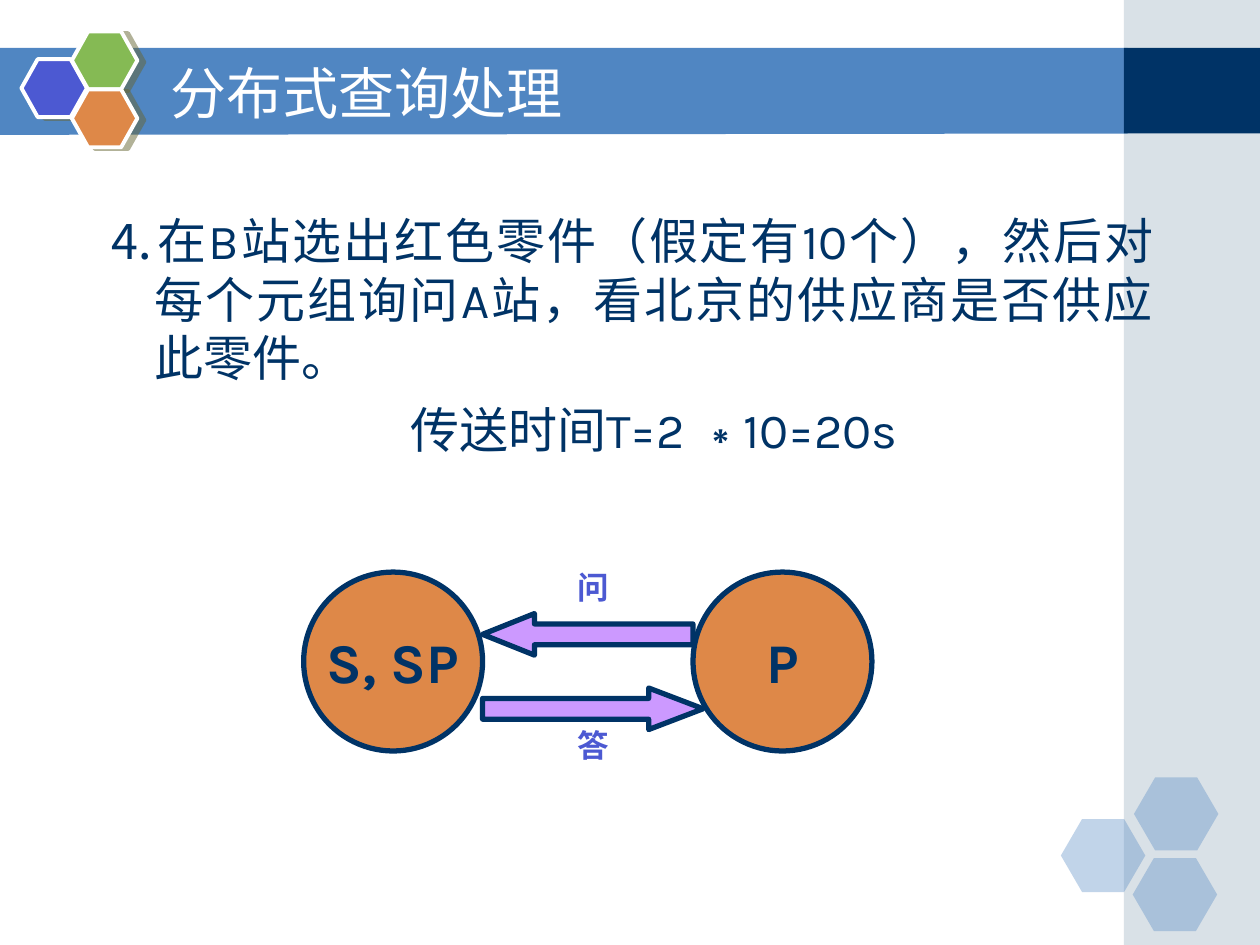
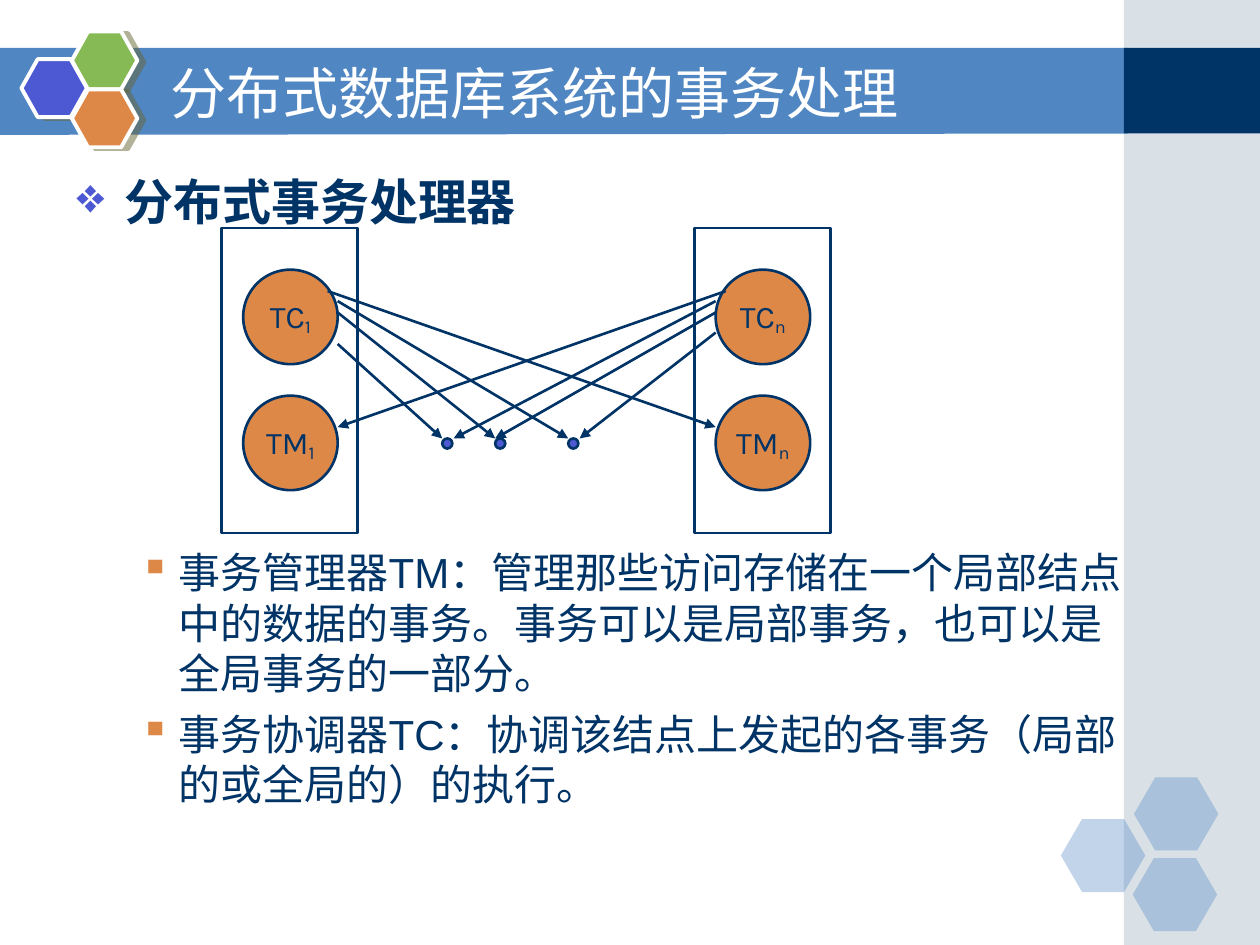
from lxml.etree import SubElement
from pptx import Presentation
from pptx.dml.color import RGBColor
from pptx.enum.shapes import MSO_CONNECTOR, MSO_SHAPE as SHAPE
from pptx.enum.text import MSO_ANCHOR as ANCHOR, MSO_AUTO_SIZE as AUTO, PP_ALIGN as ALIGN
from pptx.oxml.ns import qn
from pptx.util import Inches, Pt

COLORS = {
    "navy": "003366", "band": "5086C2", "side": "A0B5C4", "violet": "4C59D2",
    "green": "85BA54", "orange": "DE8848", "lilac": "CC99FF",
    "white": "FFFFFF", "shade": "666633",
}
TITLE_FONT, BODY_FONT, LABEL_FONT = "DejaVu Sans", "Arial", "Karla"


def rgb(name):
    return RGBColor.from_string(COLORS[name])


def add_text(tf, runs, size=18, font=LABEL_FONT, color="navy", bold=False,
             align=ALIGN.LEFT, before=0, left=0, hang=0, bullet=None):
    """Add a paragraph; runs are (text, options) pairs, with options font and baseline."""
    p = tf.paragraphs[0]
    if p.runs:
        p = tf.add_paragraph()
    p.alignment = align
    p.space_before = Pt(before)
    pPr = p._p.get_or_add_pPr()
    pPr.set("marL", str(Inches(left)))
    pPr.set("indent", str(-Inches(hang)))
    if bullet:
        char, tint = bullet
        SubElement(SubElement(pPr, qn("a:buClr")), qn("a:srgbClr"), val=COLORS[tint])
        SubElement(pPr, qn("a:buChar"), char=char)
    else:
        SubElement(pPr, qn("a:buNone"))
    for text, options in [(runs, {})] if isinstance(runs, str) else runs:
        r = p.add_run()
        r.text = text
        r.font.name = options.get("font", font)
        r.font.size = Pt(size)
        r.font.bold = bold
        r.font.color.rgb = rgb(color)
        if "baseline" in options:
            r._r.get_or_add_rPr().set("baseline", str(options["baseline"] * 1000))


def paint(sp, fill=None, alpha=None, line=None, width=1.5):
    sp.shadow.inherit = False
    if fill:
        sp.fill.solid()
        sp.fill.fore_color.rgb = rgb(fill)
        if alpha:
            clr = sp._element.spPr.find(qn("a:solidFill")).find(qn("a:srgbClr"))
            SubElement(clr, qn("a:alpha"), val=str(alpha * 1000))
    else:
        sp.fill.background()
    if line:
        sp.line.color.rgb = rgb(line)
        sp.line.width = Pt(width)
    else:
        sp.line.fill.background()


def add_shape(s, kind, x, y, w, h, adjust=(), **style):
    sp = s.shapes.add_shape(kind, Inches(x), Inches(y), Inches(w), Inches(h))
    for i, value in enumerate(adjust):
        sp.adjustments[i] = value
    paint(sp, **style)
    return sp


def add_box(s, x, y, w, h):
    tf = s.shapes.add_textbox(Inches(x), Inches(y), Inches(w), Inches(h)).text_frame
    tf.word_wrap = True
    return tf


def add_circle(s, x, y, d, runs, size, bold=False, width=1.5):
    sp = add_shape(s, SHAPE.OVAL, x, y, d, d, fill="orange", line="navy", width=width)
    tf = sp.text_frame
    tf.word_wrap = False
    tf.vertical_anchor = ANCHOR.MIDDLE
    add_text(tf, runs, size=size, bold=bold, align=ALIGN.CENTER)


def add_arrow(s, x1, y1, x2, y2):
    line = s.shapes.add_connector(MSO_CONNECTOR.STRAIGHT, Inches(x1), Inches(y1),
                                  Inches(x2), Inches(y2))
    line.line.color.rgb = rgb("navy")
    line.line.width = Pt(1.5)
    SubElement(line.line._get_or_add_ln(), qn("a:tailEnd"), type="triangle")
    SubElement(line._element.spPr, qn("a:effectLst"))


def add_shade(sp):
    """Give a shape a hard shadow to its right."""
    effects = sp._element.spPr.find(qn("a:effectLst"))
    shade = SubElement(effects, qn("a:outerShdw"), dist=str(Pt(4.1)),
                       dir=str(14 * 60000), algn="ctr", rotWithShape="0")
    clr = SubElement(shade, qn("a:srgbClr"), val=COLORS["shade"])
    SubElement(clr, qn("a:alpha"), val="50000")


def add_frame(s):
    """Draw the title band, side panel and hexagons that every slide has."""
    corners = [(Inches(x), Inches(y)) for x, y in
               [(-0.01, 0.38), (8.95, 0.38), (8.95, 1.06), (-0.01, 1.07)]]
    builder = s.shapes.build_freeform(*corners[0])
    builder.add_line_segments(corners[1:], close=True)
    paint(builder.convert_to_shape(), fill="band")
    add_shape(s, SHAPE.RECTANGLE, 8.92, 0, 1.08, 7.5, fill="side", alpha=40)
    add_shape(s, SHAPE.RECTANGLE, 8.92, 0.38, 1.08, 0.68, fill="navy")
    for x, y in [(8.42, 6.5), (9, 6.17), (8.99, 6.81)]:
        add_shape(s, SHAPE.HEXAGON, x, y, 0.67, 0.58, [0.29], fill="band", alpha=35)
    for x, y, fill in [(0.17, 0.47, "violet"), (0.57, 0.25, "green"), (0.57, 0.71, "orange")]:
        add_shade(add_shape(s, SHAPE.HEXAGON, x, y, 0.52, 0.46, [0.28],
                            fill=fill, line="white", width=2.25))


def add_slide(prs, title):
    s = prs.slides.add_slide(prs.slide_layouts[5])
    add_frame(s)
    sp = s.shapes.title
    s.shapes.element.append(sp.element)  # bring the title in front of the band
    sp.left, sp.top, sp.width, sp.height = map(Inches, (1.25, 0.42, 7.33, 0.62))
    tf = sp.text_frame
    tf.auto_size = AUTO.NONE
    tf.vertical_anchor = ANCHOR.MIDDLE
    add_text(tf, title, size=32, font=TITLE_FONT, color="white")
    return s


def add_query_diagram(s, x, y):
    """Two sites that ask and answer each other."""
    d = 1.42
    for dx, name in [(0, "S, SP"), (3.09, "P")]:
        add_circle(s, x + dx, y, d, name, 32, bold=True, width=3)
    for dy, w, turn, label, label_dy in [(0.33, 1.67, 0, "问", -0.08),
                                         (0.92, 1.75, 180, "答", 1.17)]:
        arrow = add_shape(s, SHAPE.LEFT_ARROW, x + d, y + dy, w, 0.33, [0.5, 1.25 * w / 1.67],
                          fill="lilac", line="navy", width=3)
        arrow.rotation = turn
        add_text(add_box(s, x + 1.84, y + label_dy, 0.92, 0.4), label,
                 color="violet", bold=True, align=ALIGN.CENTER)


def add_transaction_diagram(s, x, y):
    """Coordinators of two sites that reach the managers of all sites."""
    for dx, site in [(0, "1"), (3.75, "n")]:
        add_shape(s, SHAPE.RECTANGLE, x + dx, y, 1.08, 2.42, line="navy")
        for dy, role in [(0.33, "TC"), (1.33, "TM")]:
            add_circle(s, x + dx + 0.17, y + dy, 0.75,
                       [(role, {}), (site, {"baseline": -16})], 18)
    for dx in (1.75, 2.17, 2.75):
        add_shape(s, SHAPE.OVAL, x + dx, y + 1.67, 0.08, 0.08, fill="violet", line="navy")
    for x1, y1, x2, y2 in [
        (0.92, 0.92, 1.75, 1.67), (0.92, 0.67, 2.17, 1.67),
        (0.92, 0.58, 2.75, 1.67), (0.84, 0.5, 3.92, 1.58),
        (3.92, 0.83, 2.84, 1.67), (3.92, 0.67, 2.17, 1.67),
        (3.92, 0.58, 1.84, 1.67), (4, 0.5, 0.92, 1.58),
    ]:
        add_arrow(s, x + x1, y + y1, x + x2, y + y2)


def build_query_slide(prs):
    s = add_slide(prs, "分布式查询处理")
    tf = add_box(s, 0.75, 1.62, 8.5, 2.46)
    add_text(tf, "⒋在B站选出红色零件（假定有10个），然后对每个元组询问A站，看北京的供应商是否供应此零件。",
             size=28, align=ALIGN.JUSTIFY, left=0.38, hang=0.38)
    add_text(tf, [("传送时间T=2 ", {}), ("∗", {"font": BODY_FONT}), (" 10=20s", {})],
             size=28, align=ALIGN.CENTER, before=7, left=0.38)
    add_query_diagram(s, 2.41, 4.54)


def build_transaction_slide(prs):
    s = add_slide(prs, "分布式数据库系统的事务处理")
    add_text(add_box(s, 0.51, 1.31, 8.59, 0.55), "分布式事务处理器", size=28, font=TITLE_FONT,
             bold=True, left=0.38, hang=0.38, bullet=("❖", "violet"))
    add_transaction_diagram(s, 1.76, 1.81)
    tf = add_box(s, 0.51, 4.29, 8.59, 2.22)
    for i, text in enumerate([
        "事务管理器TM：管理那些访问存储在一个局部结点中的数据的事务。事务可以是局部事务，也可以是全局事务的一部分。",
        "事务协调器TC：协调该结点上发起的各事务（局部的或全局的）的执行。",
    ]):
        add_text(tf, text, size=24, font=BODY_FONT, before=6 if i else 0,
                 left=0.81, hang=0.31, bullet=("▪", "orange"))


def main():
    prs = Presentation()
    prs.slide_width, prs.slide_height = Inches(10), Inches(7.5)
    build_query_slide(prs)
    build_transaction_slide(prs)
    prs.save("out.pptx")


if __name__ == "__main__":
    main()
